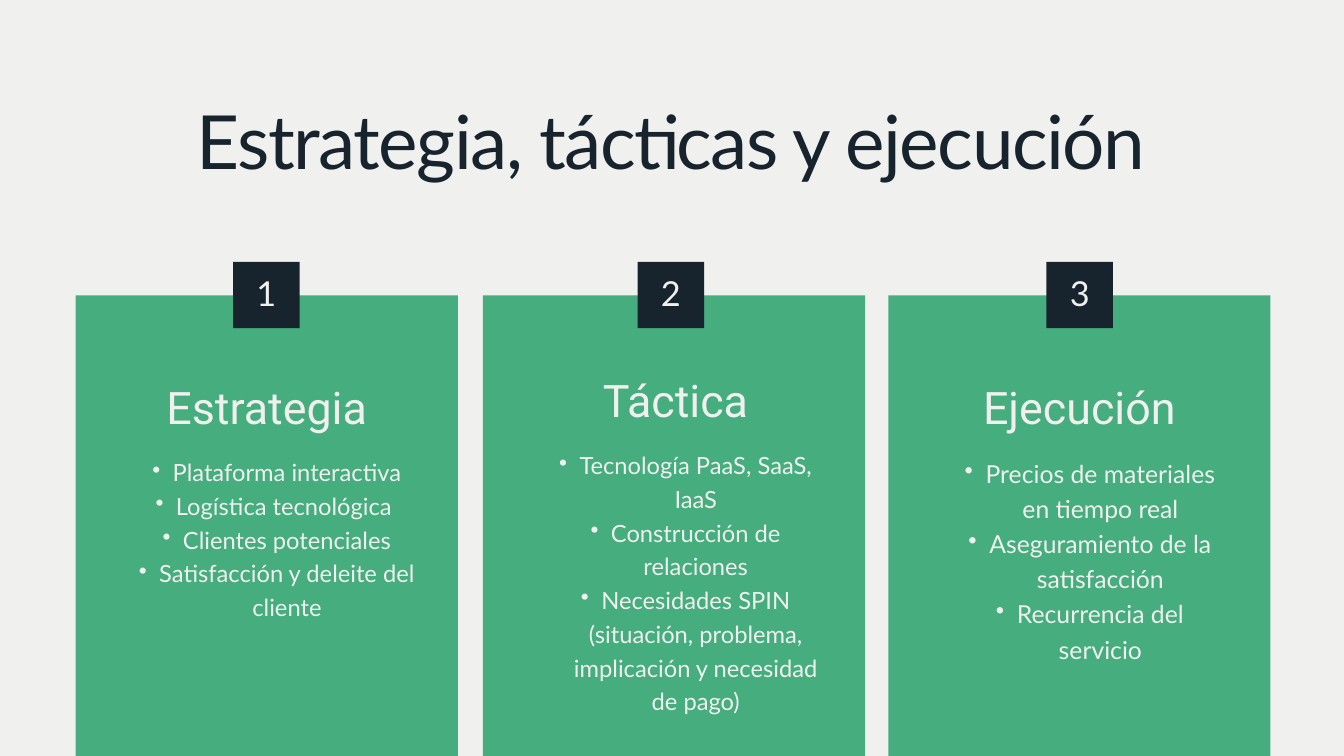
from pptx import Presentation
from pptx.dml.color import RGBColor
from pptx.enum.shapes import MSO_SHAPE
from pptx.enum.text import PP_ALIGN
from pptx.oxml.ns import qn
from pptx.util import Emu, Pt
from lxml import etree

RECTANGLE = MSO_SHAPE.RECTANGLE
CENTER = PP_ALIGN.CENTER

PAPER = RGBColor(0xF0, 0xF0, 0xEE)
GREEN = RGBColor(0x45, 0xAD, 0x7E)
NAVY = RGBColor(0x17, 0x24, 0x2D)

CARD_TOP, CARD_WIDTH, CARD_HEIGHT = 422, 546, 658
BADGE_TOP, BADGE_SIZE = 374, 95
TEXT_WIDTH = 426

# Card left, badge left, text left, heading top, heading,
# list size, list line spacing, bullet indent, list items
CARDS = [
    (108, 333, 168, 538, "Estrategia", 25.4, 36.1, 29,
     ["Plataforma interactiva", "Logística tecnológica ",
      "Clientes potenciales", "Satisfacción y deleite del cliente"]),
    (690, 911, 752, 528, "Táctica", 25.4, 36.1, 29,
     ["Tecnología PaaS, SaaS, IaaS", "Construcción de relaciones",
      "Necesidades SPIN (situación, problema, implicación y necesidad de pago)"]),
    (1269, 1495, 1329, 538, "Ejecución", 26.5, 37.7, 30,
     ["Precios de materiales en tiempo real",
      "Aseguramiento de la satisfacción", "Recurrencia del servicio"]),
]


def px(length):
    return Emu(length * 9525)


def add_block(page, left, top, width, height, color):
    block = page.shapes.add_shape(RECTANGLE, px(left), px(top), px(width), px(height))
    block.shadow.inherit = False
    block.fill.solid()
    block.fill.fore_color.rgb = color
    block.line.fill.background()


def add_bullet(para, indent):
    para.level = 1
    properties = para._p.get_or_add_pPr()
    properties.set("marL", str(px(2 * indent)))
    properties.set("indent", str(px(-indent)))
    etree.SubElement(properties, qn("a:buChar")).set("char", "•")


def add_text(page, left, top, width, height, lines, font, size, leading, color,
             tracking=0, indent=0):
    box = page.shapes.add_textbox(px(left), px(top), px(width), px(height))
    frame = box.text_frame
    frame.word_wrap = True
    frame.margin_left = frame.margin_right = 0
    frame.margin_top = frame.margin_bottom = 0
    frame.text = "\n".join(lines)
    for para in frame.paragraphs:
        para.alignment = CENTER
        para.line_spacing = Pt(leading)
        if indent:
            add_bullet(para, indent)
        para.font.name = font
        para.font.size = Pt(size)
        para.font.color.rgb = color
        if tracking:
            for span in para.runs:
                span._r.get_or_add_rPr().set("spc", str(tracking))


def add_badge(page, left, number):
    add_block(page, left, BADGE_TOP, BADGE_SIZE, BADGE_SIZE, NAVY)
    add_text(page, left + 15, BADGE_TOP + 24, 65, 53, [str(number)],
             "Lato", 36.8, 36.8, PAPER, tracking=-70)


def add_card(page, number, left, badge_left, text_left, top, heading,
             size, leading, indent, items):
    add_block(page, left, CARD_TOP, CARD_WIDTH, CARD_HEIGHT, GREEN)
    add_badge(page, badge_left, number)
    add_text(page, text_left, top, TEXT_WIDTH, 79, [heading],
             "Roboto", 48, 60.5, PAPER)
    add_text(page, text_left, top + 109, TEXT_WIDTH, 240, items,
             "Lato", size, leading, PAPER, indent=indent)


def main():
    deck = Presentation()
    deck.slide_width, deck.slide_height = px(1920), px(1080)
    page = deck.slides.add_slide(deck.slide_layouts[6])
    page.background.fill.solid()
    page.background.fill.fore_color.rgb = PAPER

    # Numbered cards
    for number, card in enumerate(CARDS, 1):
        add_card(page, number, *card)

    # Title
    add_text(page, 105, 135, 1707, 128, ["Estrategia, tácticas y ejecución"],
             "Lato", 80, 96, NAVY, tracking=-160)

    deck.save("out.pptx")


if __name__ == "__main__":
    main()
